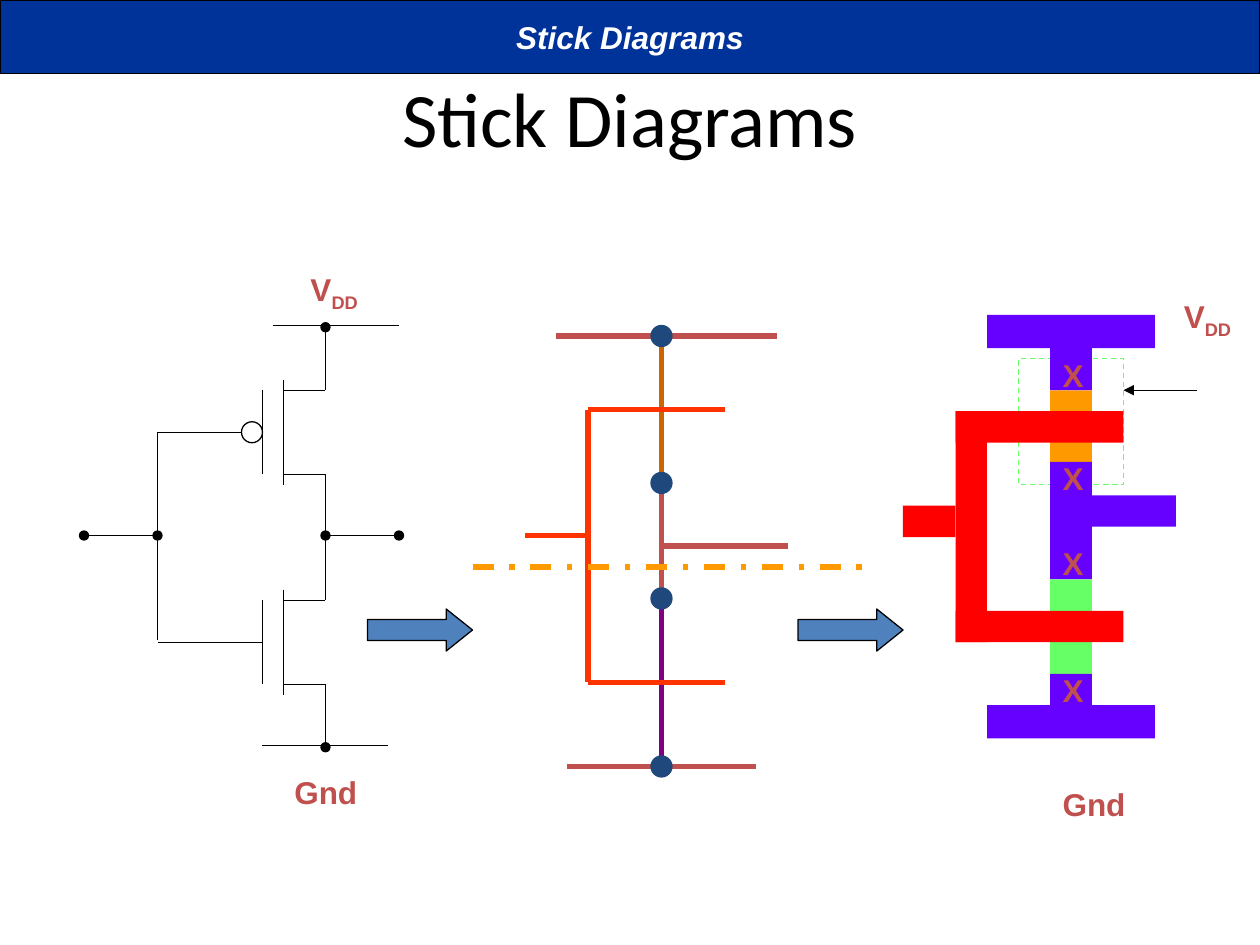
from dataclasses import dataclass
from lxml import etree
from pptx import Presentation
from pptx.dml.color import RGBColor
from pptx.enum.dml import MSO_LINE
from pptx.enum.shapes import MSO_CONNECTOR, MSO_SHAPE
from pptx.enum.text import MSO_ANCHOR, MSO_AUTO_SIZE, PP_ALIGN
from pptx.oxml.ns import qn
from pptx.util import Pt

RECT, OVAL, ARROW = MSO_SHAPE.RECTANGLE, MSO_SHAPE.OVAL, MSO_SHAPE.RIGHT_ARROW
STRAIGHT = MSO_CONNECTOR.STRAIGHT
DASH, DASH_DOT = MSO_LINE.DASH, MSO_LINE.DASH_DOT
CENTER, MIDDLE = PP_ALIGN.CENTER, MSO_ANCHOR.MIDDLE
FIT_SHAPE = MSO_AUTO_SIZE.SHAPE_TO_FIT_TEXT


@dataclass(frozen=True)
class Theme:
    ink: str = "000000"
    white: str = "FFFFFF"
    band: str = "003399"
    label: str = "C0504D"
    arrow: str = "4F81BD"
    contact: str = "1F497D"
    stick_metal: str = "C0504D"
    stick_poly: str = "FF3300"
    stick_pdiff: str = "CC6600"
    stick_ndiff: str = "800080"
    boundary: str = "FF9900"
    metal: str = "6600FF"
    poly: str = "FF0000"
    pdiff: str = "FF9900"
    ndiff: str = "66FF66"
    title_font: str = "Calibri"
    label_font: str = "Arial"
    title_size: int = 44
    label_size: int = 18
    hair: float = 0.5
    thin: float = 0.75
    stick: float = 3


THEME = Theme()


@dataclass
class Region:
    """A set of shapes placed relative to a left and top, in points."""
    shapes: object
    left: float = 0
    top: float = 0

    def line(self, x1, y1, x2, y2, color=THEME.ink, width=THEME.thin,
             dash=None, head=None, tail=None):
        wire = self.shapes.add_connector(
            STRAIGHT, Pt(self.left + x1), Pt(self.top + y1),
            Pt(self.left + x2), Pt(self.top + y2))
        wire.line.color.rgb = RGBColor.from_string(color)
        wire.line.width = Pt(width)
        if dash:
            wire.line.dash_style = dash
        outline = wire.line._get_or_add_ln()
        for tag, end in (("a:headEnd", head), ("a:tailEnd", tail)):
            if end:
                etree.SubElement(outline, qn(tag), type=end)
        etree.SubElement(wire._element.spPr, qn("a:effectLst"))

    def shape(self, kind, x, y, width, height, fill=None, line=None, dash=None):
        part = self.shapes.add_shape(
            kind, Pt(self.left + x), Pt(self.top + y), Pt(width), Pt(height))
        part.shadow.inherit = False
        if fill:
            part.fill.solid()
            part.fill.fore_color.rgb = RGBColor.from_string(fill)
        else:
            part.fill.background()
        if line:
            part.line.color.rgb = RGBColor.from_string(line)
            part.line.width = Pt(THEME.thin)
            if dash:
                part.line.dash_style = dash
        else:
            part.line.fill.background()
        return part

    def label(self, text, x, y, width, sub=""):
        box = self.shapes.add_textbox(
            Pt(self.left + x), Pt(self.top + y), Pt(width), Pt(28.8))
        box.text_frame.word_wrap = False
        box.text_frame.auto_size = FIT_SHAPE
        write(box.text_frame, text, sub=sub, bold=True)


def write(frame, text, sub="", font=THEME.label_font, size=THEME.label_size,
          color=THEME.label, bold=False, italic=False):
    """Write one centred paragraph, with an optional subscript."""
    para = frame.paragraphs[0]
    para.alignment = CENTER
    for part in filter(None, (text, sub)):
        span = para.add_run()
        span.text = part
        span.font.name, span.font.size = font, Pt(size)
        span.font.bold, span.font.italic = bold, italic
        span.font.color.rgb = RGBColor.from_string(color)
    if sub:
        span._r.get_or_add_rPr().set("baseline", "-25000")


def place_title(page, left, top, width, height):
    title = page.shapes.title
    title.left, title.top = Pt(left), Pt(top)
    title.width, title.height = Pt(width), Pt(height)
    title.text_frame.vertical_anchor = MIDDLE
    write(title.text_frame, "Stick Diagrams", font=THEME.title_font,
          size=THEME.title_size, color=THEME.ink)


def place_band(page, left, top, width, height):
    band = Region(page.shapes, left, top).shape(
        RECT, 0, 0, width, height, THEME.band, THEME.ink)
    band.text_frame.word_wrap = False
    band.text_frame.vertical_anchor = MIDDLE
    write(band.text_frame, "Stick Diagrams", color=THEME.white,
          bold=True, italic=True)


def draw_transistor(region, top, gate_end, head=None, tail=None):
    gate, channel, lead = 102, 114, 138
    region.line(channel, top, channel, top + 60, width=THEME.hair)
    region.line(gate, top + 6, gate, top + 54, width=THEME.hair)
    for y in (top + 6, top + 54):
        region.line(channel, y, lead, y)
    region.line(gate_end, top + 30, 42, top + 30)
    region.line(lead, top - 30, lead, top + 6, head=head)
    region.line(lead, top + 54, lead, top + 90, tail=tail)


def draw_schematic(page, left, top):
    region = Region(page.shapes.add_group_shape().shapes, left, top)
    draw_transistor(region, 66, gate_end=90, head="oval")
    draw_transistor(region, 186, gate_end=102, tail="oval")
    region.shape(OVAL, 90, 90, 12, 12, line=THEME.ink)
    # Supply rails
    region.line(108, 35, 180, 35)
    region.line(102, 275, 174, 275)
    region.label("V", 121, 0, 44, sub="DD")
    region.label("Gnd", 113, 287, 50.4)
    # Input and output
    region.line(42, 215, 42, 96)
    for x in (0, 138):
        region.line(x + 42, 155, x, 155, head="oval", tail="oval")


def draw_sticks(page, left, top):
    region = Region(page.shapes.add_group_shape().shapes, left, top)
    spine = 108
    contacts = (6, 90, 156, 252)
    metal, poly = THEME.stick_metal, THEME.stick_poly
    colors = (THEME.stick_pdiff, metal, THEME.stick_ndiff)
    # Spine, from VDD to ground
    for start, end, color in zip(contacts, contacts[1:], colors):
        region.line(spine, start, spine, end, color, THEME.stick)
    # Rails, output and gate
    for x1, y1, x2, y2, color in (
            (48, 6, 174, 6, metal), (54, 252, 162, 252, metal),
            (spine, 126, 180, 126, metal),
            (66, 48, 144, 48, poly), (66, 204, 144, 204, poly),
            (66, 48, 66, 204, poly), (30, 120, 66, 120, poly)):
        region.line(x1, y1, x2, y2, color, THEME.stick)
    for y in contacts:
        region.shape(OVAL, spine - 6, y - 6, 12, 12, THEME.contact, THEME.contact)
    region.line(0, 138, 228, 138, THEME.boundary, THEME.stick, DASH_DOT)


def draw_mask(page, left, top):
    region = Region(page.shapes.add_group_shape().shapes, left, top)
    region.shape(RECT, 66, 39, 60, 72, line=THEME.ndiff, dash=DASH)
    for color, boxes in (
            (THEME.pdiff, [(84, 57, 24, 60)]),
            (THEME.ndiff, [(84, 165, 24, 60)]),
            (THEME.metal, [(48, 14, 96, 19), (84, 33, 24, 24),
                           (84, 98, 24, 67), (108, 117, 48, 18),
                           (48, 237, 96, 19), (84, 219, 24, 24)]),
            (THEME.poly, [(30, 69, 96, 18), (30, 183, 96, 18),
                          (30, 69, 18, 132), (0, 123, 30, 18)])):
        for box in boxes:
            region.shape(RECT, *box, fill=color)
    # Contacts and labels
    for y in (34, 93, 141.5, 214):
        region.label("X", 84, y, 26.6)
    region.label("V", 152, 0, 44, sub="DD")
    region.label("Gnd", 84, 279, 50.4)
    region.line(168, 57, 126, 57, tail="triangle")


def draw_step_arrow(page, left, top):
    arrow = Region(page.shapes, left, top).shape(
        ARROW, 0, 0, 60, 24, THEME.arrow, THEME.ink)
    arrow.adjustments[0], arrow.adjustments[1] = 0.5, 0.625


def main():
    deck = Presentation()
    deck.slide_width, deck.slide_height = Pt(720), Pt(540)
    page = deck.slides.add_slide(deck.slide_layouts[5])
    place_title(page, 36, 21.6, 648, 90)
    draw_schematic(page, 48, 151)
    draw_mask(page, 516, 166)
    for left in (210, 456):
        draw_step_arrow(page, left, 348)
    draw_sticks(page, 270, 186)
    place_band(page, 0, 0, 720, 42)
    deck.save("out.pptx")


if __name__ == "__main__":
    main()
